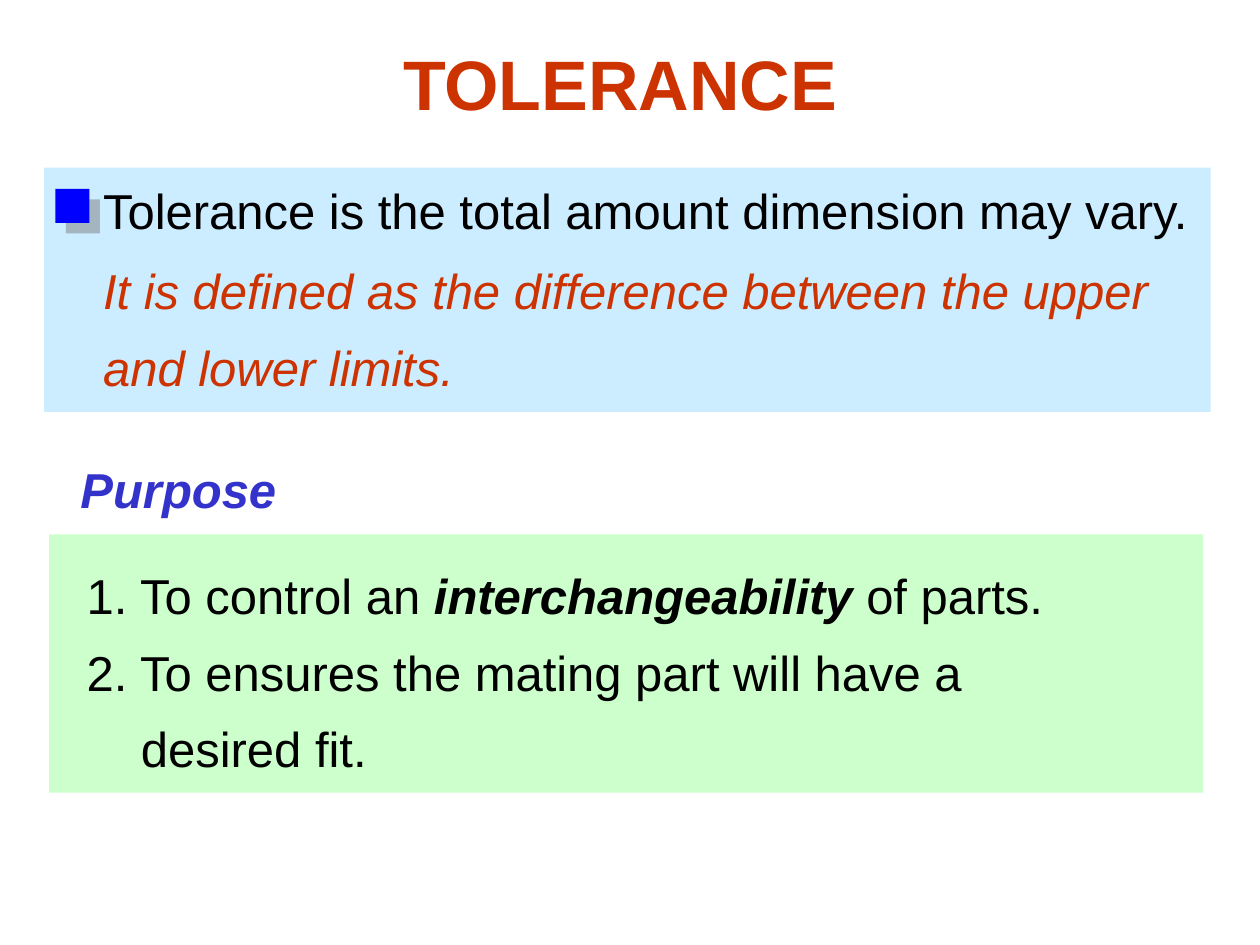
from lxml import etree
from pptx import Presentation
from pptx.dml.color import RGBColor
from pptx.enum.shapes import MSO_SHAPE
from pptx.enum.text import MSO_AUTO_SIZE, PP_ALIGN
from pptx.oxml.ns import qn
from pptx.util import Inches, Pt

BLACK, RED, BLUE, INDIGO = "000000", "CC3300", "0000FF", "3333CC"
PALE_BLUE, PALE_GREEN, GRAY = "CCECFF", "CCFFCC", "808080"


def color(value):
    return RGBColor.from_string(value)


def add_panel(shapes, box, fill):
    panel = shapes.add_shape(MSO_SHAPE.RECTANGLE, *map(Inches, box))
    panel.shadow.inherit = False
    panel.fill.solid()
    panel.fill.fore_color.rgb = color(fill)
    panel.line.fill.background()
    return panel


def add_text(shapes, box, paragraphs, size=28, fill=BLACK, bold=False, italic=False,
             wrap=True, spacing=None, align=PP_ALIGN.LEFT, hanging=0):
    """Each paragraph is a list of (text, emphasised) spans."""
    text_box = shapes.add_textbox(*map(Inches, box))
    frame = text_box.text_frame
    frame.word_wrap = wrap
    frame.auto_size = MSO_AUTO_SIZE.SHAPE_TO_FIT_TEXT
    for index, spans in enumerate(paragraphs):
        para = frame.add_paragraph() if index else frame.paragraphs[0]
        para.alignment = align
        if spacing:
            para.line_spacing = spacing
        if hanging:
            properties = para._p.get_or_add_pPr()
            properties.set("marL", str(Inches(hanging)))
            properties.set("indent", str(-Inches(hanging)))
        for text, emphasised in spans:
            for number, line in enumerate(text.split("\n")):
                if number:
                    para.add_line_break()
                span = para.add_run()
                span.text = line
                span.font.name = "Arial"
                span.font.size = Pt(size)
                span.font.bold = bold or emphasised
                span.font.italic = italic or emphasised
                span.font.color.rgb = color(fill)
    return text_box


def add_offset_shadow(shape, fill, opacity, distance, angle):
    effects = shape._element.spPr.find(qn("a:effectLst"))
    shadow = etree.SubElement(effects, qn("a:outerShdw"), blurRad="0",
                              dist=str(Pt(distance)), dir=str(angle * 60000),
                              algn="ctr", rotWithShape="0")
    tint = etree.SubElement(shadow, qn("a:srgbClr"), val=fill)
    etree.SubElement(tint, qn("a:alpha"), val=str(opacity * 1000))


def add_definition(page, box):
    left, top, width, height = box
    add_panel(page.shapes, box, PALE_BLUE)
    # Statement with its square bullet
    statement = page.shapes.add_group_shape()
    add_text(statement.shapes, (left + 0.37, top - 0.09, 9.21, 0.71),
             [[("Tolerance is the total amount dimension may vary.", False)]],
             spacing=1.3)
    bullet = add_panel(statement.shapes, (left + 0.09, top + 0.17, 0.27, 0.27), BLUE)
    add_offset_shadow(bullet, GRAY, opacity=50, distance=8.5, angle=45)
    # Formal definition
    add_text(page.shapes, (left + 0.37, top + 0.55, 8.73, 1.32),
             [[("It is defined as the difference between the upper "
                "and lower limits.", False)]],
             fill=RED, italic=True, spacing=1.3)


def add_purpose(page, box):
    left, top, width, height = box
    add_panel(page.shapes, box, PALE_GREEN)
    # Heading above the panel, with room to stay on one line
    add_text(page.shapes, (left + 0.1, top - 0.64, 1.85, 0.57),
             [[("Purpose", False)]], fill=INDIGO, bold=True, italic=True,
             wrap=False, align=PP_ALIGN.CENTER)
    # Numbered reasons
    add_text(page.shapes, (left + 0.2, top + 0.06, 8.57, 1.92),
             [[("1. To control an ", False), ("interchangeability", True),
               (" of parts.", False)],
              [("2. To ensures the mating part will have a\ndesired fit.", False)]],
             spacing=1.3, hanging=0.43)


def main():
    deck = Presentation()
    deck.slide_width, deck.slide_height = Inches(10), Inches(7.5)
    page = deck.slides.add_slide(deck.slide_layouts[6])
    add_definition(page, (0.35, 1.33, 9.26, 1.94))
    # Title
    add_text(page.shapes, (3.1, 0.27, 3.65, 0.77), [[("TOLERANCE", False)]],
             size=40, fill=RED, bold=True, wrap=False)
    add_purpose(page, (0.39, 4.24, 9.16, 2.05))
    deck.save("out.pptx")


if __name__ == "__main__":
    main()
